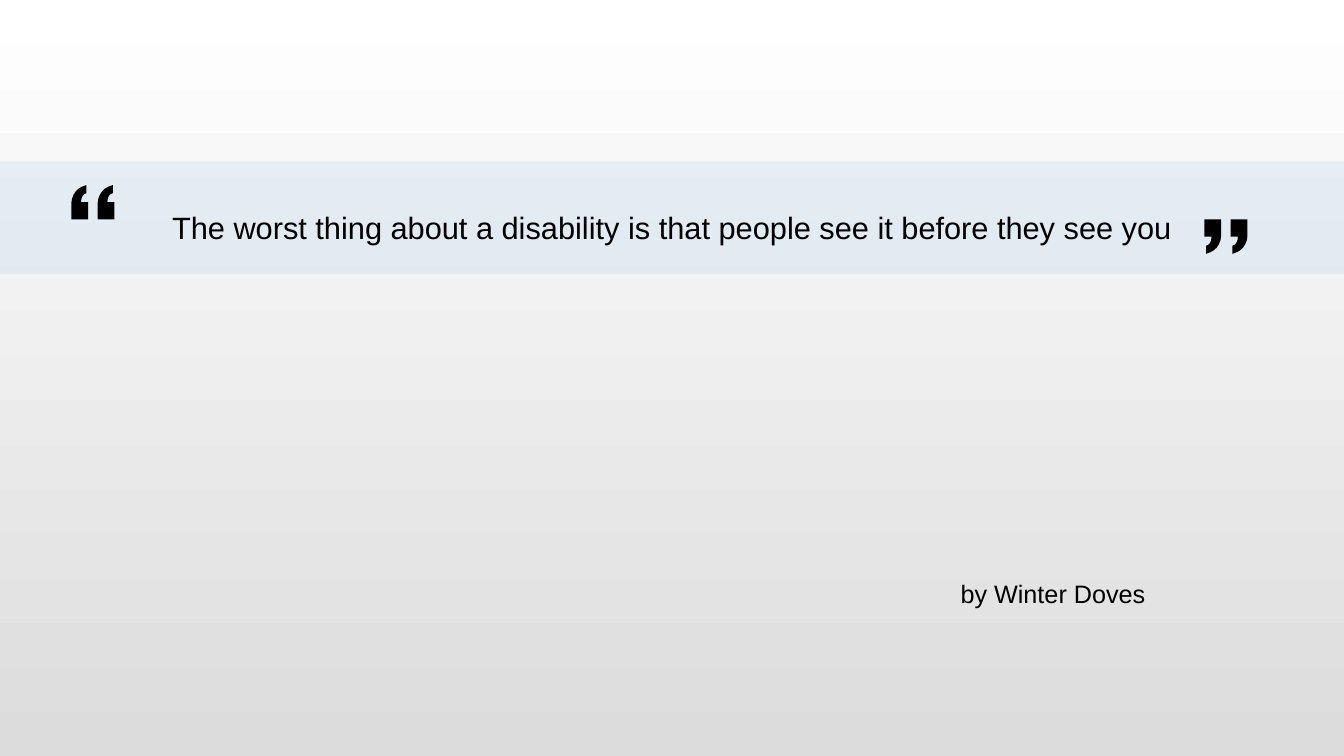
from pptx import Presentation
from pptx.dml.color import RGBColor as RGB
from pptx.enum.shapes import MSO_SHAPE as Shape
from pptx.enum.text import MSO_ANCHOR as Anchor, MSO_AUTO_SIZE as Auto, PP_ALIGN as Align
from pptx.oxml.ns import qn
from pptx.util import Pt
from lxml.etree import SubElement

WHITE = RGB(0xFF, 0xFF, 0xFF)
GREY = RGB(0xDC, 0xDC, 0xDC)
BLUE = RGB(0xBD, 0xD7, 0xEE)
BLACK = RGB(0, 0, 0)

WIDE, HIGH = 960, 540
MARK_W, MARK_H, MARK_GAP = 12, 24.5, 18.8
MARK = [(10.8, 0), (10.8, 5.8), (9.4, 6.3), (8.3, 7.3), (7.6, 8.6), (7.1, 10.1),
        (6.9, 12.2), (12, 12.2), (12, 24.5), (0, 24.5), (0, 12.6), (0.5, 9.6),
        (1.6, 6.9), (3.1, 4.5), (5.1, 2.6), (7.5, 1.2)]


def write(shape, text, size=18, align=Align.LEFT, space=1.0, before=0):
    """Put one formatted paragraph into a shape."""
    frame = shape.text_frame
    frame.word_wrap = True
    frame.auto_size = Auto.SHAPE_TO_FIT_TEXT
    frame.vertical_anchor = Anchor.TOP
    para = frame.paragraphs[0]
    para.alignment = align
    para.line_spacing = space
    para.space_before = Pt(before)
    run = para.add_run()
    run.text = text
    run.font.name = "Arial"
    run.font.size = Pt(size)
    run.font.color.rgb = BLACK


def place(shape, left, top, width, height):
    """Move a shape to a box given in points."""
    shape.left, shape.top = Pt(left), Pt(top)
    shape.width, shape.height = Pt(width), Pt(height)


def shade(slide):
    """Fill the background with a vertical gradient."""
    fill = slide.background.fill
    fill.gradient()
    fill.gradient_angle = 270
    for stop, tone, spot in zip(fill.gradient_stops, (WHITE, GREY), (0, 1)):
        stop.color.rgb = tone
        stop.position = spot


def marks(slide, left, top, turn=False):
    """Draw a pair of quote marks, turned by half for the closing pair."""
    group = slide.shapes.add_group_shape()
    for shift in (0, MARK_GAP):
        dots = [(MARK_W - x, MARK_H - y) if turn else (x, y) for x, y in MARK]
        dots = [(Pt(left + shift + x), Pt(top + y)) for x, y in dots]
        pen = group.shapes.build_freeform(*dots[0])
        pen.add_line_segments(dots[1:], close=True)
        mark = pen.convert_to_shape()
        mark.shadow.inherit = False
        mark.fill.solid()
        mark.fill.fore_color.rgb = BLACK
        mark.line.fill.background()


def quote(slide, text, left, top, width, height):
    """Build the pale band with the quote between its marks."""
    band = slide.shapes.add_shape(Shape.RECTANGLE, Pt(left), Pt(top), Pt(width), Pt(height))
    band.shadow.inherit = False
    band.fill.solid()
    band.fill.fore_color.rgb = BLUE
    tone = band.fill._xPr.find(qn("a:solidFill"))[0]
    SubElement(tone, qn("a:alpha")).set("val", "30000")
    band.line.fill.background()
    marks(slide, left + 51, top + 17)
    marks(slide, left + width - 99.7, top + 41.6, turn=True)
    title = slide.shapes.title
    slide.shapes._spTree.append(title._element)
    place(title, left + 100, top + 17.3, 760, 46.8)
    write(title, text, size=22, align=Align.CENTER, space=1.5, before=10)


def credit(slide, text, left, top, width, height):
    """Name the author of the quote."""
    box = slide.shapes.add_textbox(Pt(left), Pt(top), Pt(width), Pt(height))
    write(box, text)


def main():
    """Build and save the quote slide."""
    deck = Presentation()
    deck.slide_width, deck.slide_height = Pt(WIDE), Pt(HIGH)
    slide = deck.slides.add_slide(deck.slide_layouts[5])
    shade(slide)
    quote(slide, "The worst thing about a disability is that people see it before they see you",
          0, 115.2, WIDE, 80.6)
    credit(slide, "by Winter Doves", 679, 409.7, 221.8, 28.8)
    deck.save("out.pptx")


if __name__ == "__main__":
    main()
